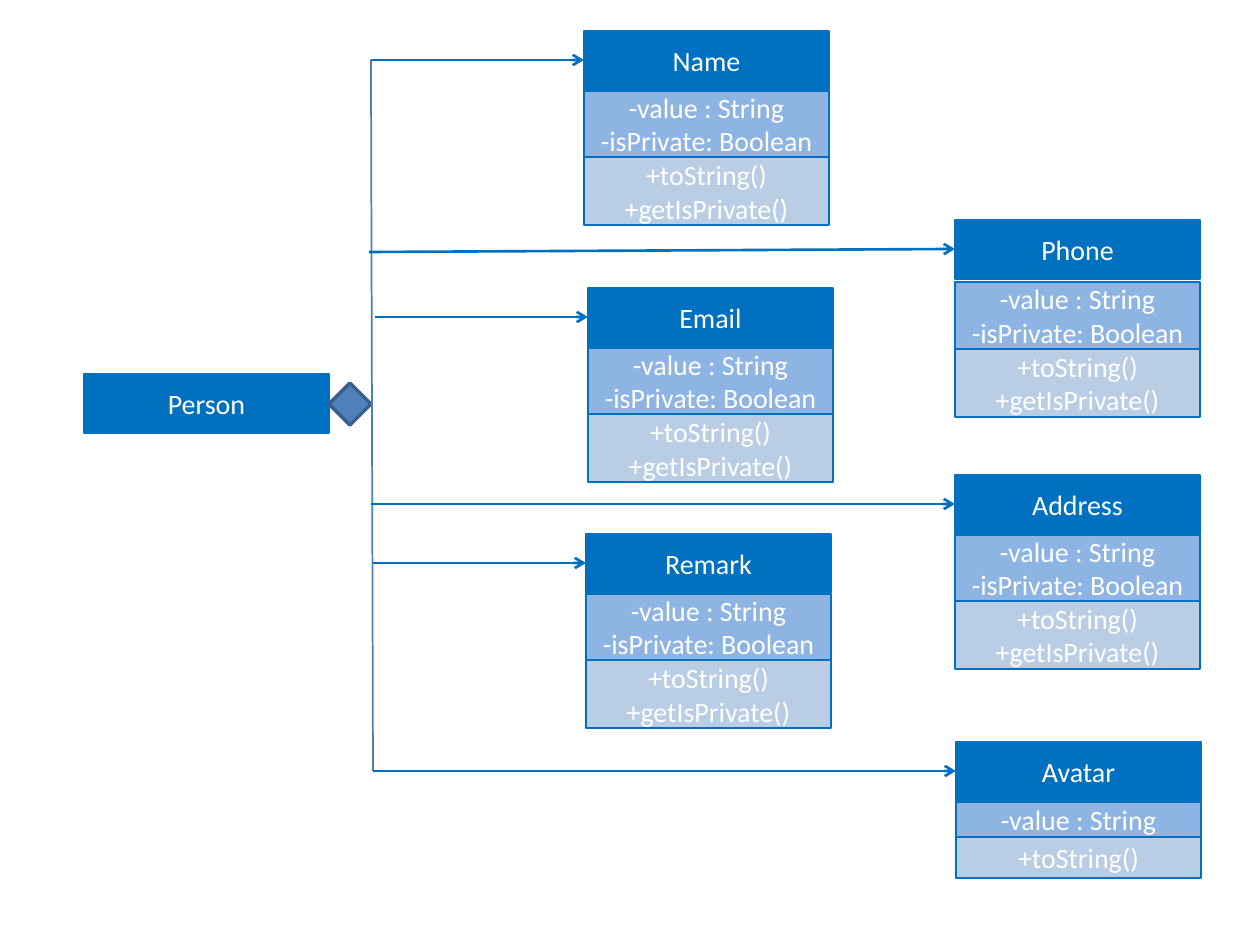
from lxml.etree import SubElement
from pptx import Presentation
from pptx.dml.color import RGBColor
from pptx.enum.shapes import MSO_CONNECTOR, MSO_SHAPE
from pptx.enum.text import MSO_ANCHOR, PP_ALIGN
from pptx.oxml.ns import qn
from pptx.util import Emu, Pt

COLORS = {
    "header": "0070C0",
    "attributes": "8EB4E3",
    "operations": "B9CDE5",
    "diamond": "4F81BD",
    "diamond_line": "3A5F8C",
    "trunk": "4B7EBC",
    "text": "FFFFFF",
}
BOX_WIDTH = 245
HEADER_HEIGHT = 59
ARROW_OFFSET = 29

VALUE = "-value : String"
TO_STRING = "+toString()"
ATTRIBUTES = [VALUE, "-isPrivate: Boolean"]
OPERATIONS = [TO_STRING, "+getIsPrivate()"]


def px(length):
    return Emu(round(length * 914400 / 126))


def color(name):
    return RGBColor.from_string(COLORS[name])


def write_text(shape, lines, size=16, font="Calibri", fill="text"):
    frame = shape.text_frame
    frame.word_wrap = True
    frame.vertical_anchor = MSO_ANCHOR.MIDDLE
    frame.text = "\n".join(lines)
    for paragraph in frame.paragraphs:
        paragraph.alignment = PP_ALIGN.CENTER
        paragraph.font.size = Pt(size)
        paragraph.font.name = font
        paragraph.font.color.rgb = color(fill)


class ClassDiagram:
    def __init__(self, slide, line_color="header", line_width=1.5):
        self.slide = slide
        self.line_color = line_color
        self.line_width = line_width

    def shape(self, kind, left, top, width, height, fill, line=None, line_width=None):
        shape = self.slide.shapes.add_shape(
            kind, px(left), px(top), px(width), px(height))
        shape.shadow.inherit = False
        shape.fill.solid()
        shape.fill.fore_color.rgb = color(fill)
        shape.line.color.rgb = color(line or self.line_color)
        shape.line.width = Pt(line_width or self.line_width)
        return shape

    def box(self, left, top, height, fill, lines):
        shape = self.shape(MSO_SHAPE.RECTANGLE, left, top, BOX_WIDTH, height, fill)
        write_text(shape, lines)

    def line(self, start, end, line=None, line_width=None, arrow=False):
        connector = self.slide.shapes.add_connector(
            MSO_CONNECTOR.STRAIGHT, *map(px, start + end))
        connector.line.color.rgb = color(line or self.line_color)
        connector.line.width = Pt(line_width or self.line_width)
        properties = connector._element.spPr
        if arrow:
            SubElement(properties.find(qn("a:ln")), qn("a:tailEnd"), type="arrow")
        SubElement(properties, qn("a:effectLst"))

    def class_box(self, name, left, top, attributes=ATTRIBUTES, operations=OPERATIONS,
                  header_step=60, heights=(66, 68)):
        self.box(left, top, HEADER_HEIGHT, "header", [name])
        attributes_top = top + header_step
        self.box(left, attributes_top, heights[0], "attributes", attributes)
        self.box(left, attributes_top + heights[0], heights[1], "operations", operations)


def main():
    presentation = Presentation()
    presentation.slide_width = px(1260)
    presentation.slide_height = px(945)
    slide = presentation.slides.add_slide(presentation.slide_layouts[6])
    diagram = ClassDiagram(slide)

    diagram.box(84, 374, HEADER_HEIGHT, "header", ["Person"])
    diagram.shape(MSO_SHAPE.DIAMOND, 329, 383, 42, 42, "diamond",
                  line="diamond_line", line_width=2)
    diagram.line((371, 60), (373, 771), line="trunk", line_width=1)

    single_value = {"attributes": [VALUE], "operations": [TO_STRING],
                    "heights": (35, 41)}
    classes = [
        ("Name", 584, 31, (371, 60), {}),
        ("Phone", 955, 220, (369, 252), {"header_step": 62, "heights": (67, 68)}),
        ("Email", 588, 288, (375, 317), {}),
        ("Address", 955, 475, (371, 504), {}),
        ("Remark", 586, 534, (373, 563), {}),
        ("Avatar", 956, 742, (373, 771), single_value),
    ]
    for name, left, top, start, options in classes:
        diagram.line(start, (left, top + ARROW_OFFSET), arrow=True)
        diagram.class_box(name, left, top, **options)

    presentation.save("out.pptx")


if __name__ == "__main__":
    main()
